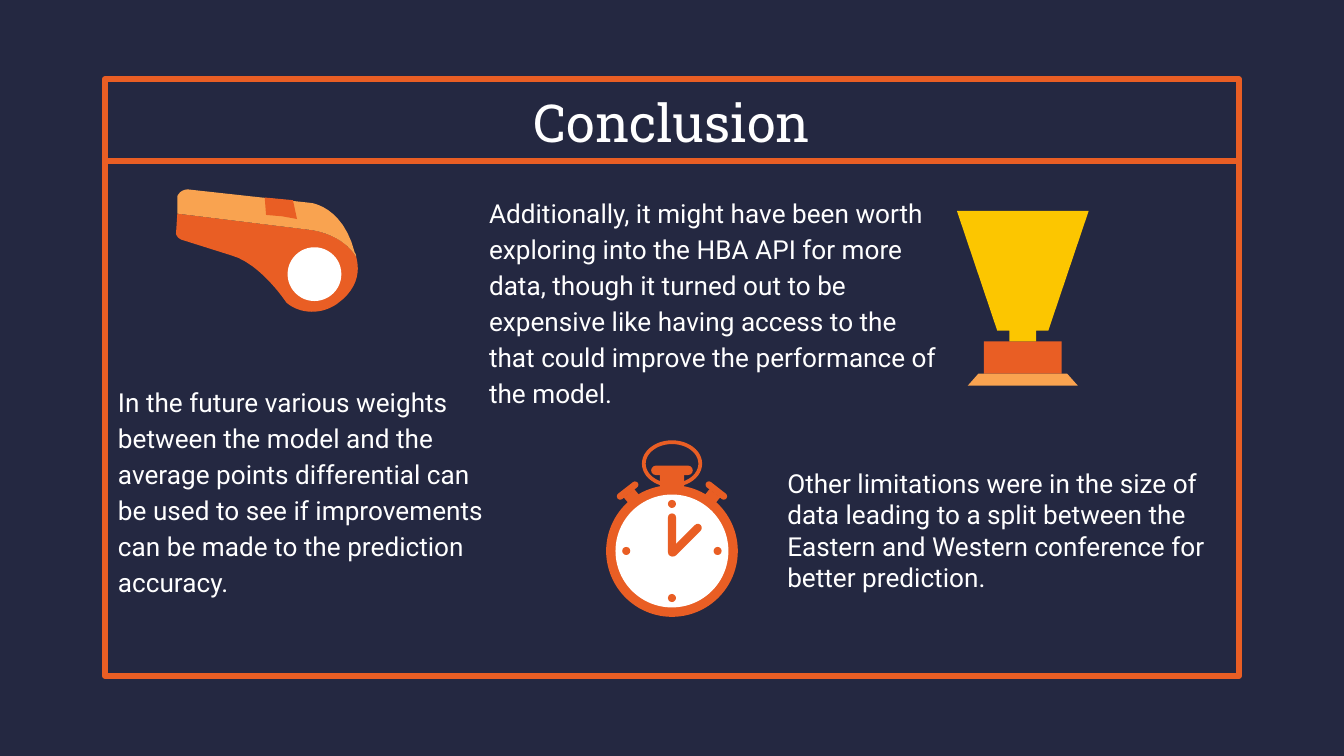
from dataclasses import dataclass
from pptx import Presentation
from pptx.dml.color import RGBColor
from pptx.enum.shapes import MSO_CONNECTOR as Connector, MSO_SHAPE as Shape
from pptx.enum.text import MSO_ANCHOR as Anchor, PP_ALIGN as Align
from pptx.oxml.ns import qn
from pptx.util import Inches, Pt
from lxml.etree import SubElement


@dataclass(frozen=True)
class Theme:
    navy: str = "242841"
    orange: str = "E95E24"
    peach: str = "F9A350"
    gold: str = "FCC600"
    white: str = "FFFFFF"
    title_font: str = "Roboto Slab"
    body_font: str = "Roboto"
    title_size: int = 28
    body_size: int = 14
    frame_weight: float = 3
    ring_weight: float = 2


def trace(start, segments, steps=12):
    points = [start]
    for segment in segments:
        if len(segment) == 2:
            points.append(segment)
            continue
        knots = [points[-1], segment[:2], segment[2:4], segment[4:]]
        for step in range(1, steps + 1):
            t = step / steps
            weights = ((1 - t) ** 3, 3 * t * (1 - t) ** 2, 3 * t * t * (1 - t), t ** 3)
            points.append(tuple(sum(w * knot[axis] for w, knot in zip(weights, knots)) for axis in (0, 1)))
    return points


class SlideBuilder:
    """Draws styled elements on the current slide."""

    def __init__(self, slide, theme):
        self.slide = slide
        self.theme = theme
        slide.background.fill.solid()
        slide.background.fill.fore_color.rgb = RGBColor.from_string(theme.navy)

    def paint(self, shape, fill=None, line=None, weight=0):
        shape.shadow.inherit = False
        if fill:
            shape.fill.solid()
            shape.fill.fore_color.rgb = RGBColor.from_string(fill)
        else:
            shape.fill.background()
        if line:
            shape.line.color.rgb = RGBColor.from_string(line)
            shape.line.width = Pt(weight)
        else:
            shape.line.fill.background()
        return shape

    def preset(self, kind, left, top, width, height, fill=None, line=None, weight=0, rotation=0):
        box = [Inches(value) for value in (left, top, width, height)]
        shape = self.paint(self.slide.shapes.add_shape(kind, *box), fill, line, weight)
        shape.rotation = rotation
        return shape

    def disc(self, x, y, radius, fill):
        self.preset(Shape.OVAL, x - radius, y - radius, 2 * radius, 2 * radius, fill)

    def capsule(self, x, y, length, thickness, fill, rotation=0):
        shape = self.preset(Shape.ROUNDED_RECTANGLE, x - length / 2, y - thickness / 2,
                            length, thickness, fill, rotation=rotation)
        shape.adjustments[0] = 0.5

    def outline(self, points, fill):
        corners = [(Inches(x), Inches(y)) for x, y in points]
        builder = self.slide.shapes.build_freeform(*corners[0], scale=1.0)
        builder.add_line_segments(corners[1:], close=True)
        self.paint(builder.convert_to_shape(), fill)

    def rule(self, left, right, y):
        ends = [Inches(value) for value in (left, y, right, y)]
        connector = self.slide.shapes.add_connector(Connector.STRAIGHT, *ends)
        connector.line.color.rgb = RGBColor.from_string(self.theme.orange)
        connector.line.width = Pt(self.theme.frame_weight)
        SubElement(connector._element.spPr, qn("a:effectLst"))

    def text(self, words, left, top, width, height, font, size, align=Align.LEFT, spacing=1.0):
        box = [Inches(value) for value in (left, top, width, height)]
        frame = self.slide.shapes.add_textbox(*box).text_frame
        frame.word_wrap = True
        frame.vertical_anchor = Anchor.MIDDLE
        frame.margin_left = frame.margin_right = frame.margin_top = frame.margin_bottom = Inches(0.1)
        paragraph = frame.paragraphs[0]
        paragraph.alignment = align
        paragraph.line_spacing = spacing
        run = paragraph.add_run()
        run.text = words
        run.font.name = font
        run.font.size = Pt(size)
        run.font.color.rgb = RGBColor.from_string(self.theme.white)

    def body(self, words, left, top, width, height, spacing=1.0):
        self.text(words, left, top, width, height, self.theme.body_font, self.theme.body_size, spacing=spacing)

    def stopwatch(self, x, y):
        orange, white = self.theme.orange, self.theme.white
        self.preset(Shape.OVAL, x - 0.21, y - 0.81, 0.42, 0.32, line=orange, weight=self.theme.ring_weight)
        self.preset(Shape.RECTANGLE, x - 0.09, y - 0.6, 0.18, 0.14, orange)
        self.capsule(x, y - 0.6, 0.31, 0.07, orange)
        for side in (-1, 1):
            stem = [(0.28, -0.46), (0.36, -0.4), (0.31, -0.34), (0.23, -0.4)]
            self.outline([(x + side * dx, y + dy) for dx, dy in stem], orange)
            self.capsule(x + side * 0.33, y - 0.45, 0.19, 0.05, orange, side * 38)
        self.disc(x, y, 0.49, orange)
        self.disc(x, y, 0.42, white)
        for dx, dy in ((0, -1), (0, 1), (-1, 0), (1, 0)):
            self.disc(x + 0.34 * dx, y + 0.35 * dy, 0.03, orange)
        self.capsule(x, y - 0.12, 0.32, 0.06, orange, 90)
        self.capsule(x + 0.1, y - 0.08, 0.32, 0.06, orange, -45)

    def trophy(self, x):
        cup = [(0.49, 1.57), (0.19, 2.46), (0.1, 2.46), (0.1, 2.54)]
        foot = [(0.33, 2.78), (0.41, 2.87)]
        self.preset(Shape.RECTANGLE, x - 0.29, 2.54, 0.58, 0.24, self.theme.orange)
        for half, fill in ((cup, self.theme.gold), (foot, self.theme.peach)):
            mirrored = [(x - dx, y) for dx, y in half] + [(x + dx, y) for dx, y in reversed(half)]
            self.outline(mirrored, fill)

    def whistle(self):
        chamber = trace((1.32, 1.59), [
            (1.31, 1.74), (1.32, 1.78, 1.37, 1.79, 1.37, 1.79), (1.72, 1.9),
            (1.94, 1.96, 2.13, 2.25, 2.13, 2.25), (2.13, 2.25, 2.2, 2.32, 2.32, 2.32),
            (2.37, 2.32, 2.44, 2.31, 2.51, 2.26), (2.69, 2.13, 2.67, 1.98, 2.65, 1.91),
            (2.54, 1.73, 2.3, 1.71, 2.3, 1.71)])
        top = trace((1.4, 1.41), [
            (1.34, 1.41, 1.32, 1.46, 1.32, 1.46), (1.32, 1.59), (2.3, 1.71),
            (2.3, 1.71, 2.54, 1.73, 2.65, 1.91), (2.65, 1.89, 2.64, 1.88, 2.64, 1.88),
            (2.55, 1.53, 2.31, 1.51, 2.31, 1.51)])
        slot = [(1.97, 1.47), (1.98, 1.6), (2.1, 1.61), (2.21, 1.63), (2.18, 1.49)]
        self.outline(chamber, self.theme.orange)
        self.outline(top, self.theme.peach)
        self.outline(slot, self.theme.orange)
        self.disc(2.34, 2.04, 0.2, self.theme.white)


def main():
    theme = Theme()
    presentation = Presentation()
    presentation.slide_width = Inches(10)
    presentation.slide_height = presentation.slide_width * 9 // 16
    builder = SlideBuilder(presentation.slides.add_slide(presentation.slide_layouts[6]), theme)
    builder.preset(Shape.RECTANGLE, 0.78, 0.59, 8.44, 4.44, line=theme.orange, weight=theme.frame_weight)
    builder.rule(0.8, 9.2, 1.2)
    builder.text("Conclusion", 0.78, 0.59, 8.44, 0.63, theme.title_font, theme.title_size, Align.CENTER)
    builder.body("In the future various weights between the model and the average points differential "
                 "can be used to see if improvements can be made to the prediction accuracy.",
                 0.78, 2.41, 2.96, 2.47, 1.15)
    builder.body("Additionally, it might have been worth exploring into the HBA API for more data, "
                 "though it turned out to be expensive like having access to the that could improve "
                 "the performance of the model.", 3.54, 1.33, 3.58, 1.81, 1.15)
    builder.body("Other limitations were in the size of data leading to a split between the Eastern "
                 "and Western conference for better prediction.", 5.76, 3.25, 3.36, 1.39)
    builder.stopwatch(5, 4.1)
    builder.trophy(7.61)
    builder.whistle()
    presentation.save("out.pptx")


if __name__ == "__main__":
    main()
